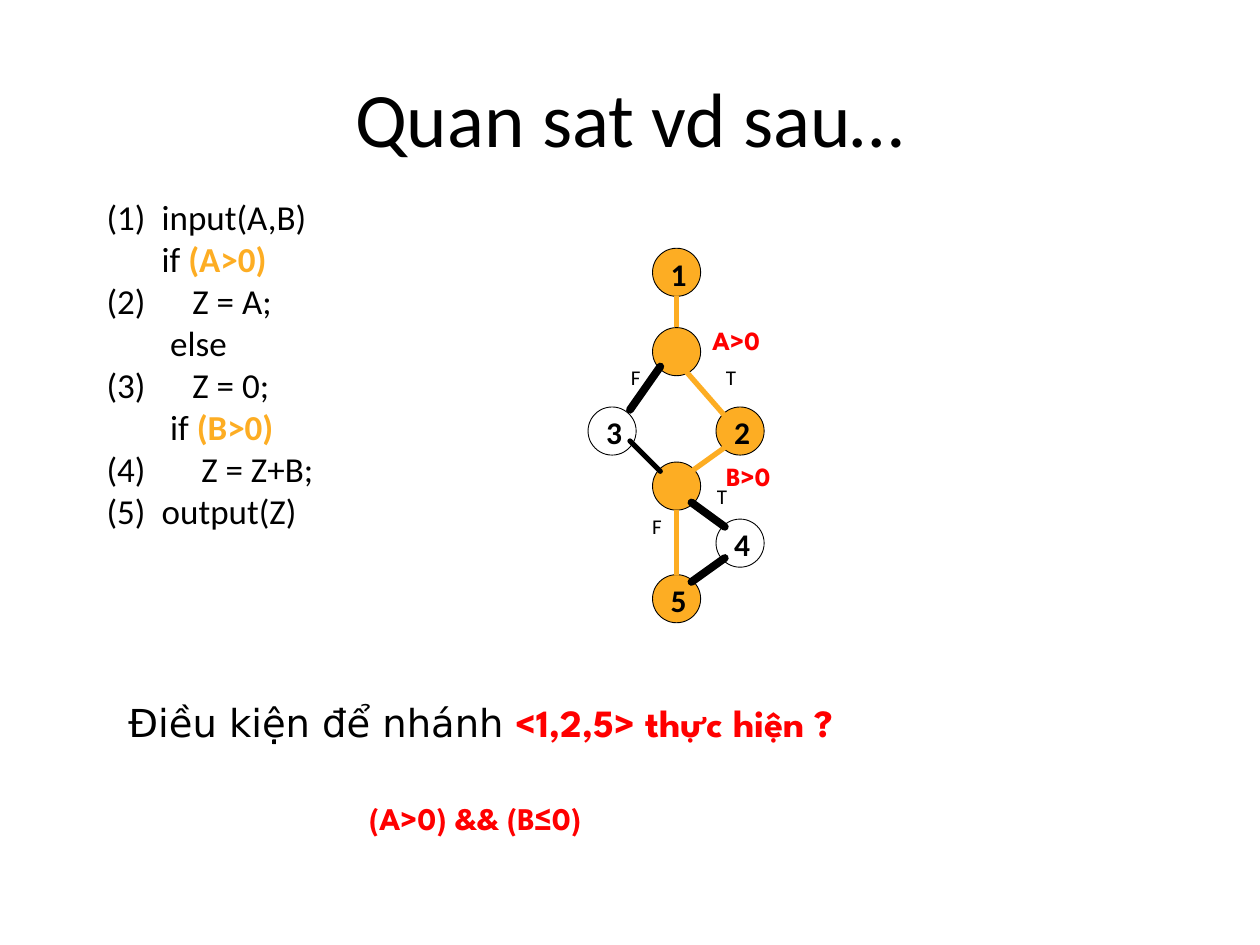
from lxml.etree import SubElement
from pptx import Presentation
from pptx.dml.color import RGBColor
from pptx.enum.shapes import MSO_CONNECTOR as LINE, MSO_SHAPE as SHAPE
from pptx.enum.text import MSO_ANCHOR as ANCHOR, PP_ALIGN as ALIGN
from pptx.oxml.ns import qn
from pptx.util import Cm, Pt

COLORS = {"black": "000000", "white": "FFFFFF", "orange": "FDAD23", "red": "FF0000"}

PLAIN = {"name": "Calibri", "size": 20, "color": "black", "bold": False}
TITLE = PLAIN | {"size": 44}
CONDITION = PLAIN | {"color": "orange", "bold": True}
NUMBER = PLAIN | {"size": 18, "bold": True}
BRANCH = PLAIN | {"size": 12}
QUESTION = PLAIN | {"name": "DejaVu Sans", "size": 22}
EMPHASIS = {"name": "League Spartan", "size": 22, "color": "red", "bold": True}
ANSWER = EMPHASIS | {"size": 18}
TEST = EMPHASIS | {"size": 15}

DIAMETER = 0.97
LEFT, MIDDLE, RIGHT = 12.34, 13.64, 14.92

# Runs of each code line, then its indent in cm
CODE = [
    ([("(1)\tinput(A,B)", PLAIN)], 1.11),
    ([("if ", PLAIN), ("(A>0)", CONDITION)], 1.11),
    ([("(2)\tZ = A;", PLAIN)], 1.73),
    ([("else", PLAIN)], 1.28),
    ([("(3)\tZ = 0;", PLAIN)], 1.73),
    ([("if ", PLAIN), ("(B>0)", CONDITION)], 1.28),
    ([("(4)\tZ = Z+B;", PLAIN)], 1.91),
    ([("(5)\toutput(Z)", PLAIN)], 1.11),
]
# Number, centre, fill
NODES = [
    ("1", MIDDLE, 5.49, "orange"),
    ("", MIDDLE, 7.09, "orange"),
    ("2", RIGHT, 8.69, "orange"),
    ("3", LEFT, 8.69, "white"),
    ("", MIDDLE, 9.8, "orange"),
    ("4", RIGHT, 10.95, "white"),
    ("5", MIDDLE, 12.07, "orange"),
]
# Start, end, colour, width in points
EDGES = [
    ((MIDDLE, 5.97), (MIDDLE, 6.6), "orange", 3),
    ((13.77, 7.42), (14.61, 8.38), "orange", 3),
    ((13.31, 7.39), (12.7, 8.26), "black", 4.5),
    ((12.7, 8.89), (13.31, 9.5), "black", 3),
    ((14.61, 9.02), (13.94, 9.5), "orange", 3),
    ((13.94, 10.13), (14.61, 10.62), "black", 4.5),
    ((14.61, 11.25), (13.94, 11.73), "black", 4.5),
    ((MIDDLE, 10.29), (MIDDLE, 11.59), "orange", 3),
]
# Text, box, style
LABELS = [
    ("A>0", (14.33, 6.53, 1.02, 0.64), TEST),
    ("B>0", (14.63, 9.27, 0.91, 0.64), TEST),
    ("F", (12.7, 7.34, 0.23, 0.51), BRANCH),
    ("T", (14.61, 7.34, 0.25, 0.51), BRANCH),
    ("F", (13.13, 10.36, 0.23, 0.51), BRANCH),
    ("T", (14.43, 9.75, 0.25, 0.51), BRANCH),
]


def rgb(name):
    return RGBColor.from_string(COLORS[name])


def set_all(target, values):
    for name, value in values.items():
        setattr(target, name, value)


class Builder:
    def __init__(self, slide):
        self.s = slide

    def add_runs(self, p, runs, align=ALIGN.LEFT):
        p.alignment = align
        for text, style in runs:
            r = p.add_run()
            r.text = text
            set_all(r.font, {"name": style["name"], "size": Pt(style["size"]),
                             "bold": style["bold"]})
            r.font.color.rgb = rgb(style["color"])

    def frame(self, box, **values):
        tf = self.s.shapes.add_textbox(*map(Cm, box)).text_frame
        set_all(tf, {"word_wrap": True} | values)
        return tf

    def text(self, box, runs, align=ALIGN.LEFT, **values):
        self.add_runs(self.frame(box, **values).paragraphs[0], runs, align)

    def code(self, box, lines):
        """Numbered lines hang by their indent; the others start at it."""
        tf = self.frame(box)
        for i, (runs, indent) in enumerate(lines):
            p = tf.add_paragraph() if i else tf.paragraphs[0]
            p.line_spacing = Pt(24)
            pPr = p._p.get_or_add_pPr()
            pPr.set("marL", str(Cm(indent)))
            pPr.set("indent", str(-Cm(indent) if "\t" in runs[0][0] else 0))
            self.add_runs(p, runs)

    def label(self, text, box, style):
        self.text(box, [(text, style)], ALIGN.CENTER, word_wrap=False,
                  margin_left=0, margin_top=0, margin_right=0, margin_bottom=0)

    def node(self, number, x, y, fill):
        corner = Cm(x - DIAMETER / 2), Cm(y - DIAMETER / 2)
        sp = self.s.shapes.add_shape(SHAPE.OVAL, *corner, Cm(DIAMETER), Cm(DIAMETER))
        sp.shadow.inherit = False
        sp.fill.solid()
        sp.fill.fore_color.rgb = rgb(fill)
        sp.line.color.rgb = rgb("black")
        sp.line.width = Pt(0.5)
        if number:
            set_all(sp.text_frame, {
                "word_wrap": False, "vertical_anchor": ANCHOR.MIDDLE,
                "margin_left": Cm(0.08), "margin_right": 0,
                "margin_top": Cm(0.05), "margin_bottom": 0})
            self.add_runs(sp.text_frame.paragraphs[0], [(number, NUMBER)], ALIGN.CENTER)

    def edge(self, start, end, color, width):
        c = self.s.shapes.add_connector(LINE.STRAIGHT, *map(Cm, start + end))
        c.line.color.rgb = rgb(color)
        c.line.width = Pt(width)
        spPr = c._element.spPr
        if color == "black":
            spPr.find(qn("a:ln")).set("cap", "rnd")
        SubElement(spPr, qn("a:effectLst"))


def main():
    prs = Presentation()
    prs.slide_width, prs.slide_height = Cm(25.4), Cm(19.05)
    b = Builder(prs.slides.add_slide(prs.slide_layouts[6]))

    b.text((1.27, 0.76, 22.86, 3.18), [("Quan sat vd sau…", TITLE)],
           ALIGN.CENTER, vertical_anchor=ANCHOR.MIDDLE)
    b.code((1.9, 3.81, 8.26, 9.96), CODE)
    for node in NODES:
        b.node(*node)
    for edge in EDGES:
        b.edge(*edge)
    for label in LABELS:
        b.label(*label)
    b.text((2.34, 13.97, 19.25, 2.62), [("Điều kiện để nhánh ", QUESTION),
                                        ("<1,2,5> thực hiện ?", EMPHASIS)])
    b.text((7.19, 15.98, 7.42, 1.27), [("(A>0) && (B≤0)", ANSWER)])

    prs.save("out.pptx")


if __name__ == "__main__":
    main()
